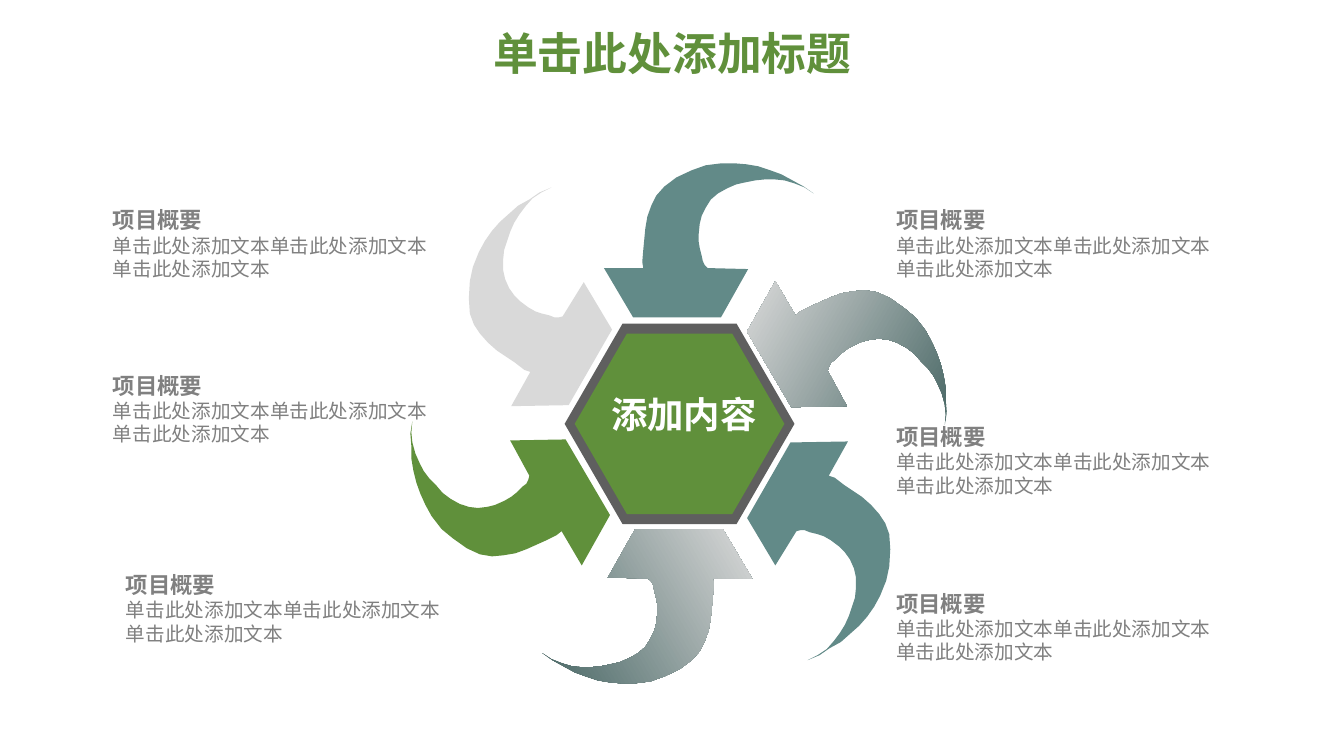
from math import cos, sin, radians
from pptx import Presentation
from pptx.dml.color import RGBColor
from pptx.enum.shapes import MSO_SHAPE as Shape
from pptx.enum.text import MSO_ANCHOR as Anchor, PP_ALIGN as Align
from pptx.util import Inches, Pt

GREEN, TEAL, PALE, DARK = "60903B", "628A88", "D9D9D9", "4A6866"
GRAY, RIM, WHITE = "808080", "5F5F5F", "FFFFFF"
HUB = (6.73, 4.2)

# Outline of the top arrow, in hundredths of an inch from the hub.
ARROW = [
    (-74, -154), (-45, -105), (42, -105), (69, -153), (29, -154), (26, -157),
    (24, -161), (23, -166), (21, -174), (20, -180), (20, -188), (21, -198),
    (23, -206), (27, -214), (32, -222), (39, -228), (48, -233), (57, -237),
    (66, -239), (76, -241), (86, -242), (95, -242), (105, -241), (115, -238),
    (125, -234), (134, -228), (124, -235), (113, -241), (102, -247),
    (91, -251), (79, -255), (67, -257), (55, -258), (43, -258), (27, -256),
    (13, -251), (-2, -244), (-14, -235), (-22, -226), (-27, -216),
    (-31, -205), (-33, -193), (-35, -172), (-36, -160), (-35, -154),
]
TURNS = [
    (120, TEAL, (-0.02, 0.05)), (60, None, (0, 0)), (0, TEAL, (0, 0)),
    (300, PALE, (0.04, -0.04)), (240, GREEN, (0, 0)), (180, None, (-0.01, 0)),
]
NOTES = [(8.76, 1.98), (8.76, 4.13), (8.76, 5.78),
         (0.99, 1.98), (0.99, 3.62), (1.12, 5.6)]


def tint(code):
    """Turn a hex string into a colour."""
    return RGBColor.from_string(code)


def style(par, size, code, bold=True):
    """Set the font of a paragraph."""
    font = par.font
    font.name, font.size, font.bold = "Arial", Pt(size), bold
    font.color.rgb = tint(code)


def paint(shape, code):
    """Give a shape a plain fill without line or shadow."""
    shape.shadow.inherit = False
    shape.line.fill.background()
    shape.fill.solid()
    shape.fill.fore_color.rgb = tint(code)


def head(slide, box):
    """Place the slide title."""
    title = slide.shapes.title
    title.left, title.top, title.width, title.height = map(Inches, box)
    frame = title.text_frame
    frame.text = "单击此处添加标题"
    frame.vertical_anchor = Anchor.MIDDLE
    par = frame.paragraphs[0]
    par.alignment, par.line_spacing = Align.CENTER, 0.9
    style(par, 32, GREEN)


def arrow(slide, hub, turn, code, shift):
    """Draw the arrow turned about the hub, shaded if it has no colour."""
    c, s = cos(radians(turn)), sin(radians(turn))
    x, y = (100 * (h + d) for h, d in zip(hub, shift))
    dots = [(x + c * a - s * b, y + s * a + c * b) for a, b in ARROW]
    pen = slide.shapes.build_freeform(*dots[0], scale=Inches(0.01))
    pen.add_line_segments(dots[1:], close=True)
    shape = pen.convert_to_shape()
    paint(shape, code or PALE)
    if code is None:
        fill = shape.fill
        fill.gradient()
        fill.gradient_angle = 210 - turn
        for stop, shade, spot in zip(fill.gradient_stops, (DARK, PALE), (0, 1)):
            stop.color.rgb = tint(shade)
            stop.position = spot


def note(slide, box):
    """Write a heading with two lines of text."""
    frame = slide.shapes.add_textbox(*map(Inches, box)).text_frame
    frame.word_wrap = True
    frame.margin_left = frame.margin_right = Inches(0.13)
    frame.margin_top = frame.margin_bottom = Inches(0.07)
    line = "单击此处添加文本"
    frame.text = "\n".join(["项目概要", line * 2, line])
    for i, par in enumerate(frame.paragraphs):
        style(par, 14 if i else 16, GRAY, i == 0)


def core(slide, box):
    """Draw the rimmed hexagon and its label."""
    x, y, w, h = box
    for gap, code in ((0, RIM), (0.1, GREEN)):
        part = (x + gap, y + gap, w - 2 * gap, h - 2 * gap)
        shape = slide.shapes.add_shape(Shape.HEXAGON, *map(Inches, part))
        shape.adjustments[0] = 0.289
        paint(shape, code)
    spot = (x + 0.23, y + 0.63, 1.91, 0.54)
    frame = slide.shapes.add_textbox(*map(Inches, spot)).text_frame
    frame.word_wrap = True
    frame.text = "添加内容"
    par = frame.paragraphs[0]
    par.alignment = Align.CENTER
    style(par, 26, WHITE)


def main():
    """Build and save the slide."""
    deck = Presentation()
    deck.slide_width, deck.slide_height = Inches(13.33), Inches(7.5)
    slide = deck.slides.add_slide(deck.slide_layouts[5])
    head(slide, (0.92, 0.26, 11.5, 0.6))
    for turn, code, shift in TURNS:
        arrow(slide, HUB, turn, code, shift)
    for x, y in NOTES:
        note(slide, (x, y, 3.96, 0.87))
    core(slide, (5.6, 3.21, 2.28, 1.99))
    deck.save("out.pptx")


if __name__ == "__main__":
    main()
